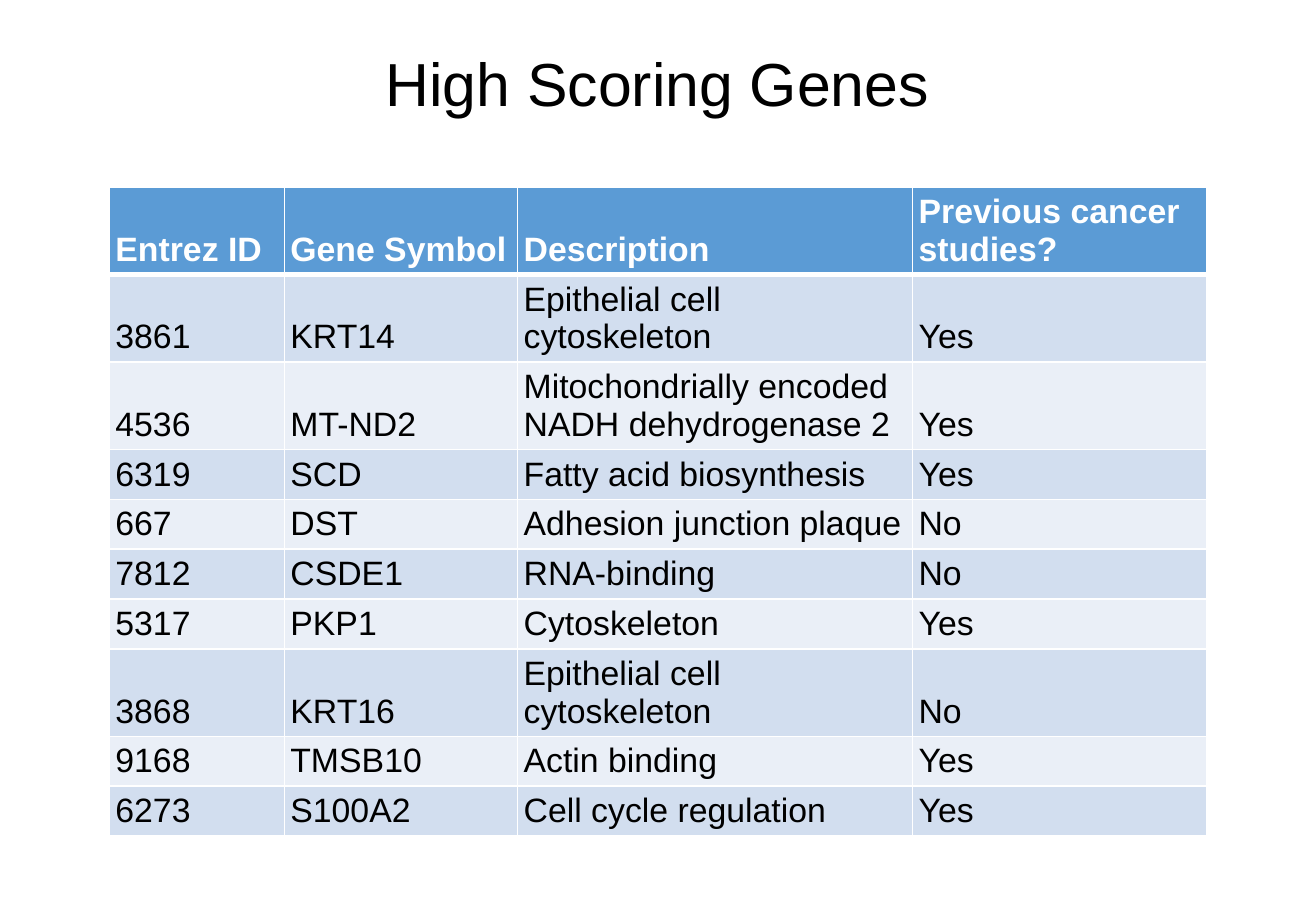
"""Build a slide with a table of high scoring genes."""
from lxml.etree import SubElement
from pptx import Presentation
from pptx.dml.color import RGBColor
from pptx.enum.text import MSO_ANCHOR as Anchor, PP_ALIGN as Align
from pptx.oxml.ns import qn
from pptx.util import Inches, Pt

GENES = [
    ("Entrez ID", "Gene Symbol", "Description", "Previous cancer studies?"),
    ("3861", "KRT14", "Epithelial cell cytoskeleton", "Yes"),
    ("4536", "MT-ND2", "Mitochondrially encoded NADH dehydrogenase 2", "Yes"),
    ("6319", "SCD", "Fatty acid biosynthesis", "Yes"),
    ("667", "DST", "Adhesion junction plaque", "No"),
    ("7812", "CSDE1", "RNA-binding", "No"),
    ("5317", "PKP1", "Cytoskeleton", "Yes"),
    ("3868", "KRT16", "Epithelial cell cytoskeleton", "No"),
    ("9168", "TMSB10", "Actin binding", "Yes"),
    ("6273", "S100A2", "Cell cycle regulation", "Yes"),
]
COLUMN_WIDTHS = (1.44, 1.92, 3.25, 2.42)
ROW_HEIGHT = 0.41


def color(value):
    return RGBColor.from_string(value)


class SlideBuilder:
    font = "Arial"
    ink = "000000"
    white = "FFFFFF"
    header = "5B9BD5"
    bands = ("EAEFF7", "D2DEEF")

    def __init__(self, page):
        self.page = page

    def style(self, para, size, ink, bold=False):
        for span in para.runs:
            span.font.name = self.font
            span.font.size = Pt(size)
            span.font.bold = bold
            span.font.color.rgb = color(ink)

    def title(self, text, left, top, width, height):
        box = self.page.shapes.add_textbox(
            Inches(left), Inches(top), Inches(width), Inches(height))
        frame = box.text_frame
        frame.word_wrap = True
        frame.text = text
        para = frame.paragraphs[0]
        para.alignment = Align.CENTER
        para.line_spacing = 0.9
        self.style(para, 36, self.ink)

    def borders(self, cell, top, bottom):
        properties = cell._tc.get_or_add_tcPr()
        for side, width in (("L", 1), ("R", 1), ("T", top), ("B", bottom)):
            line = SubElement(properties, qn(f"a:ln{side}"), w=str(Pt(width)))
            fill = SubElement(line, qn("a:solidFill"))
            SubElement(fill, qn("a:srgbClr"), val=self.white)

    def cell(self, cell, text, row):
        is_header = row == 0
        self.borders(cell, 3 if row == 1 else 1, 3 if is_header else 1)
        cell.fill.solid()
        cell.fill.fore_color.rgb = color(self.header if is_header else self.bands[row % 2])
        cell.vertical_anchor = Anchor.BOTTOM
        cell.margin_left = cell.margin_right = Inches(0.05)
        cell.margin_top = cell.margin_bottom = Inches(0.05)
        cell.text_frame.text = text
        self.style(cell.text_frame.paragraphs[0], 20,
                   self.white if is_header else self.ink, is_header)

    def table(self, rows, left, top, widths, row_height):
        table = self.page.shapes.add_table(
            len(rows), len(widths), Inches(left), Inches(top),
            Inches(sum(widths)), Inches(row_height * len(rows))).table
        for column, width in zip(table.columns, widths):
            column.width = Inches(width)
        for index, texts in enumerate(rows):
            table.rows[index].height = Inches(row_height)
            for column, text in enumerate(texts):
                self.cell(table.cell(index, column), text, index)


def main():
    deck = Presentation()
    deck.slide_width = Inches(10.83)
    deck.slide_height = Inches(7.5)
    builder = SlideBuilder(deck.slides.add_slide(deck.slide_layouts[6]))
    builder.table(GENES, 0.9, 1.54, COLUMN_WIDTHS, ROW_HEIGHT)
    builder.title("High Scoring Genes", 0.74, 0.4, 9.34, 1.14)
    deck.save("out.pptx")


if __name__ == "__main__":
    main()
